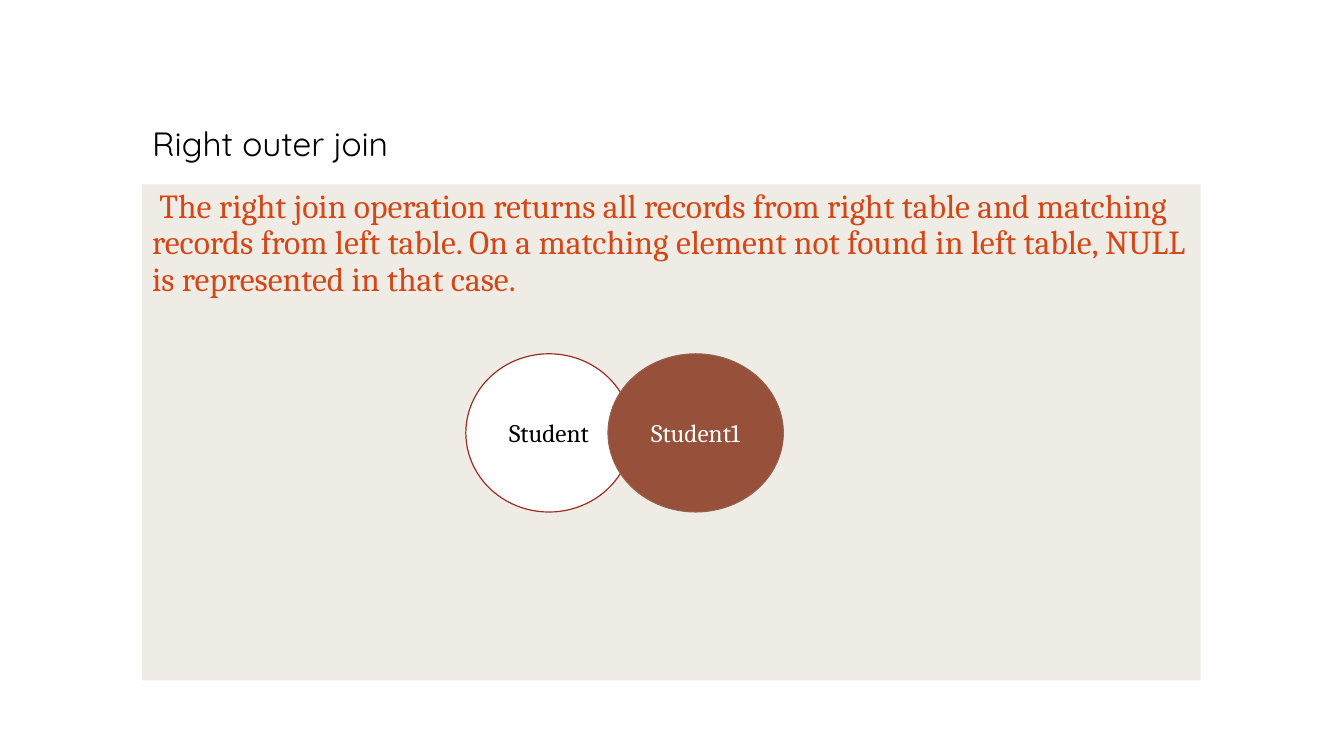
from dataclasses import dataclass
from typing import Any, Optional

import lxml.etree
import pptx
import pptx.dml.color
import pptx.enum.shapes
import pptx.enum.text
import pptx.oxml.ns
import pptx.util

Inches = pptx.util.Inches
Kind = pptx.enum.shapes.MSO_SHAPE
Anchor = pptx.enum.text.MSO_ANCHOR
Align = pptx.enum.text.PP_ALIGN

PROSE = {"alignment": Align.LEFT, "line_spacing": 0.9}
LABEL = {"alignment": Align.CENTER}


@dataclass
class Block:
    text: str
    left: float
    top: float
    width: float
    height: float
    color: str
    font: str = "Cambria"
    size: int = 24
    anchor: Any = Anchor.TOP
    kind: Any = Kind.RECTANGLE
    fill: Optional[str] = None
    alpha: int = 100
    line: Optional[str] = None
    weight: float = 0.75


def rgb(code: str) -> pptx.dml.color.RGBColor:
    return pptx.dml.color.RGBColor.from_string(code)


def assign(target: Any, values: dict[str, Any]) -> None:
    for name, value in values.items():
        setattr(target, name, value)


def fade(shape: Any, alpha: int) -> None:
    tag = pptx.oxml.ns.qn("a:srgbClr")
    color = shape.fill._xPr.find(".//" + tag)
    node = lxml.etree.SubElement(color, pptx.oxml.ns.qn("a:alpha"))
    node.set("val", str(alpha * 1000))


def paint(shape: Any, block: Block) -> None:
    shape.shadow.inherit = False
    shape.fill.solid()
    shape.fill.fore_color.rgb = rgb(block.fill)
    if block.alpha < 100:
        fade(shape, block.alpha)
    if block.line:
        shape.line.color.rgb = rgb(block.line)
        shape.line.width = pptx.util.Pt(block.weight)
    else:
        shape.line.fill.background()


def draw(slide: Any, block: Block, style: dict[str, Any]) -> None:
    box = [Inches(n) for n in (block.left, block.top, block.width, block.height)]
    if block.fill:
        shape = slide.shapes.add_shape(block.kind, *box)
        paint(shape, block)
    else:
        shape = slide.shapes.add_textbox(*box)
    frame = shape.text_frame
    assign(frame, {"word_wrap": True, "vertical_anchor": block.anchor})
    para = frame.paragraphs[0]
    assign(para, style)
    run = para.add_run()
    run.text = block.text
    assign(run.font, {"name": block.font, "size": pptx.util.Pt(block.size)})
    run.font.color.rgb = rgb(block.color)


def circle(text: str, left: float, width: float, color: str,
           fill: str, line: str, weight: float) -> Block:
    return Block(text, left, 3.51, width, 1.57, color, size=18,
                 anchor=Anchor.MIDDLE, kind=Kind.OVAL,
                 fill=fill, line=line, weight=weight)


TEXTS = [
    Block("Right outer join", 1.41, 0.42, 10.5, 1.25, "000000",
          font="Quicksand", anchor=Anchor.BOTTOM),
    Block(" The right join operation returns all records from right table and "
          "matching records from left table. On a matching element not found "
          "in left table, NULL is represented in that case.",
          1.41, 1.83, 10.5, 4.92, "D34817", fill="E9E5DC", alpha=70),
]
TABLES = [
    circle("Student", 4.62, 1.65, "000000", "FFFFFF", "9B2D1F", 0.85),
    circle("Student1", 6.03, 1.74, "FFFFFF", "97513A", "956251", 0.75),
]


def main() -> None:
    deck = pptx.Presentation()
    assign(deck, {"slide_width": Inches(13.33), "slide_height": Inches(7.5)})
    slide = deck.slides.add_slide(deck.slide_layouts[6])
    for blocks, style in ((TEXTS, PROSE), (TABLES, LABEL)):
        for block in blocks:
            draw(slide, block, style)
    deck.save("out.pptx")


if __name__ == "__main__":
    main()
